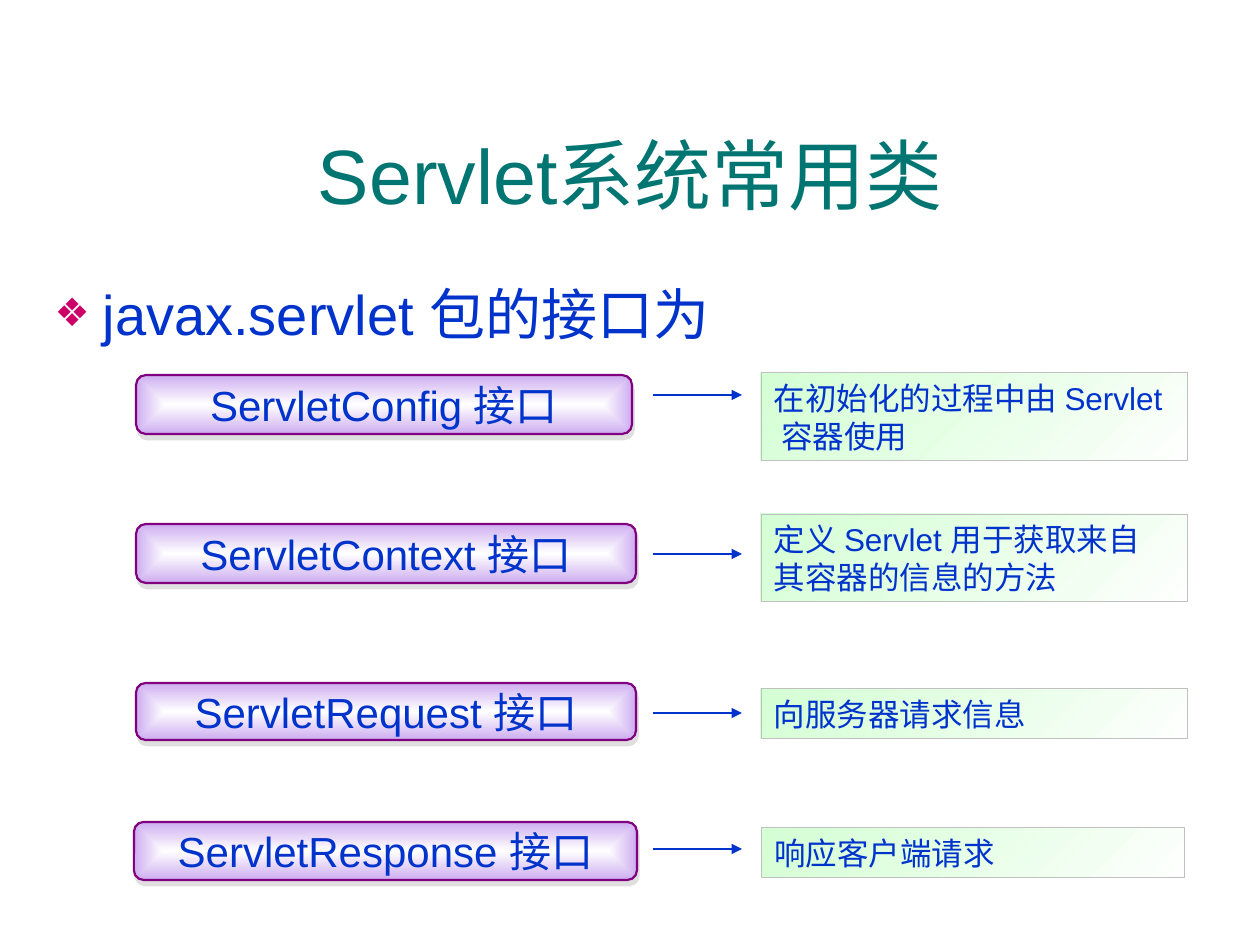
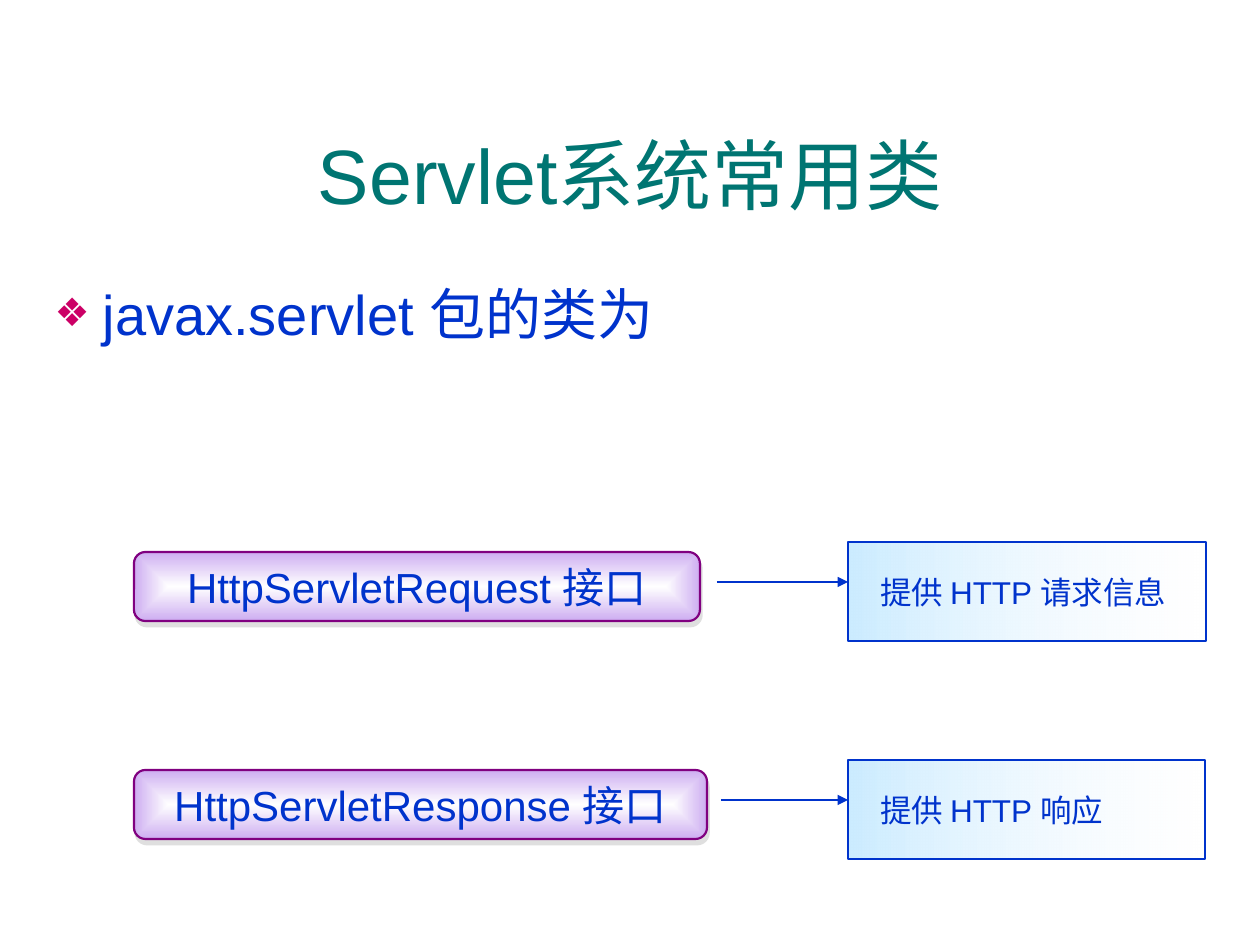
import pptx
import pptx.util
import pptx.dml.color
import pptx.enum.shapes
import pptx.enum.text
import pptx.oxml
import pptx.oxml.ns

TITLE = "Servlet系统常用类"
FONT = "Arial"
TEAL, BLUE, PINK = "007572", "0033CC", "CC0066"
PURPLE, SILVER = "800080", "C0C0C0"
CENTER = '<a:path path="rect"><a:fillToRect l="50000" t="50000" r="50000" b="50000"/></a:path>'
LILAC = (("FFFFFF", 100), ("CDADF1", 100), CENTER)
GREEN = (("FFFFFF", 100), ("CCFFCC", 81), '<a:lin ang="13500000"/>')
SKY = (("FFFFFF", 26), ("CCECFF", 100), '<a:lin ang="10800000"/>')

PAGES = [
    {
        "lead": "javax.servlet 包的接口为",
        "note": {"grad": GREEN, "edge": SILVER, "edge_pt": 0.5, "inset": 13, "anchor": "TOP"},
        "note_x": 761, "arrow_end": 742, "arrow_pt": 0.75,
        "rows": [
            ("ServletConfig 接口", (136, 375, 496, 59), (653, 395),
             "在初始化的过程中由 Servlet\n 容器使用", (373, 427, 88)),
            ("ServletContext 接口", (136, 524, 500, 59), (653, 554),
             "定义 Servlet 用于获取来自\n其容器的信息的方法", (514, 427, 88)),
            ("ServletRequest 接口", (136, 683, 500, 57), (653, 713),
             "向服务器请求信息", (689, 427, 50)),
            ("ServletResponse 接口", (134, 822, 503, 58), (653, 849),
             "响应客户端请求", (828, 423, 50)),
        ],
    },
    {
        "lead": "javax.servlet 包的类为",
        "note": {"grad": SKY, "edge": BLUE, "edge_pt": 0.75, "inset": 32, "anchor": "MIDDLE"},
        "note_x": 848, "arrow_end": 848, "arrow_pt": 1.5,
        "rows": [
            ("HttpServletRequest 接口", (134, 552, 566, 69), (717, 582),
             "提供 HTTP 请求信息", (542, 358, 99)),
            ("HttpServletResponse 接口", (134, 770, 573, 69), (721, 800),
             "提供 HTTP 响应", (760, 357, 99)),
        ],
    },
]

Pt = pptx.util.Pt
Kind = pptx.enum.shapes.MSO_SHAPE
Align = pptx.enum.text.PP_ALIGN
Anchor = pptx.enum.text.MSO_ANCHOR


def px(n):
    return round(n * 914400 / 126)


def rgb(code):
    return pptx.dml.color.RGBColor.from_string(code)


def xml(text):
    tag, rest = text[1:].split(" ", 1)
    space = pptx.oxml.ns.nsdecls("a")
    return pptx.oxml.parse_xml(f"<{tag} {space} {rest}")


def write(frame, text, size, color, align=Align.LEFT):
    frame.text = text
    for para in frame.paragraphs:
        para.alignment = align
        for run in para.runs:
            run.font.size = Pt(size)
            run.font.name = FONT
            run.font.color.rgb = rgb(color)


def place(shape, box):
    shape.left, shape.top, shape.width, shape.height = map(px, box)


def shade(shape, grad):
    first, last, shape_of = grad
    stops = "".join(
        f'<a:gs pos="{pos}"><a:srgbClr val="{code}"><a:alpha val="{alpha * 1000}"/></a:srgbClr></a:gs>'
        for pos, (code, alpha) in ((0, first), (100000, last))
    )
    fill = xml(f'<a:gradFill rotWithShape="1"><a:gsLst>{stops}</a:gsLst>{shape_of}</a:gradFill>')
    shape._element.spPr.find(pptx.oxml.ns.qn("a:prstGeom")).addnext(fill)


def add_box(slide, kind, box, grad, edge, edge_pt):
    shape = slide.shapes.add_shape(kind, *map(px, box))
    shape.line.color.rgb = rgb(edge)
    shape.line.width = Pt(edge_pt)
    shape.shadow.inherit = False
    shade(shape, grad)
    return shape


def add_pill(slide, text, box):
    pill = add_box(slide, Kind.FLOWCHART_ALTERNATE_PROCESS, box, LILAC, PURPLE, 1.25)
    drop = xml('<a:outerShdw dist="40640" dir="4320000" algn="ctr" rotWithShape="0">'
               f'<a:srgbClr val="{SILVER}"><a:alpha val="50000"/></a:srgbClr></a:outerShdw>')
    pill._element.spPr.find(pptx.oxml.ns.qn("a:effectLst")).append(drop)
    frame = pill.text_frame
    frame.word_wrap = False
    frame.vertical_anchor = Anchor.MIDDLE
    write(frame, text, 24, BLUE, Align.CENTER)


def add_note(slide, text, box, look):
    note = add_box(slide, Kind.RECTANGLE, box, look["grad"], look["edge"], look["edge_pt"])
    frame = note.text_frame
    frame.word_wrap = True
    frame.margin_left = px(look["inset"])
    frame.margin_right = px(12)
    frame.vertical_anchor = Anchor[look["anchor"]]
    write(frame, text, 18, BLUE)


def add_arrow(slide, x, y, end, width):
    arrow = slide.shapes.add_connector(
        pptx.enum.shapes.MSO_CONNECTOR.STRAIGHT, px(x), px(y), px(end), px(y))
    arrow.line.color.rgb = rgb(BLUE)
    arrow.line.width = Pt(width)
    props = arrow._element.spPr
    props.find(pptx.oxml.ns.qn("a:ln")).append(xml('<a:tailEnd type="triangle"/>'))
    props.append(xml("<a:effectLst />"))


def add_head(slide, lead):
    title, body = slide.shapes.title, slide.placeholders[1]
    place(title, (42, 95, 1177, 157))
    place(body, (42, 273, 1177, 536))
    for shape in (title, body):
        shape.text_frame.auto_size = pptx.enum.text.MSO_AUTO_SIZE.NONE
    title.text_frame.vertical_anchor = Anchor.MIDDLE
    write(title.text_frame, TITLE, 44, TEAL, Align.CENTER)
    write(body.text_frame, lead, 32, BLUE)
    para = body.text_frame.paragraphs[0]
    para.space_before = Pt(8)
    props = para._p.get_or_add_pPr()
    props.set("marL", str(px(48)))
    props.set("indent", str(px(-48)))
    for mark in (f'<a:buClr ><a:srgbClr val="{PINK}"/></a:buClr>',
                 '<a:buSzPct val="70000"/>',
                 f'<a:buFont typeface="{FONT}"/>',
                 '<a:buChar char="❖"/>'):
        props.append(xml(mark))


def main():
    deck = pptx.Presentation()
    deck.slide_width, deck.slide_height = px(1260), px(945)
    for page in PAGES:
        slide = deck.slides.add_slide(deck.slide_layouts[1])
        add_head(slide, page["lead"])
        for name, box, (x, y), text, (top, wide, high) in page["rows"]:
            add_pill(slide, name, box)
            add_arrow(slide, x, y, page["arrow_end"], page["arrow_pt"])
            add_note(slide, text, (page["note_x"], top, wide, high), page["note"])
    deck.save("out.pptx")


if __name__ == "__main__":
    main()
